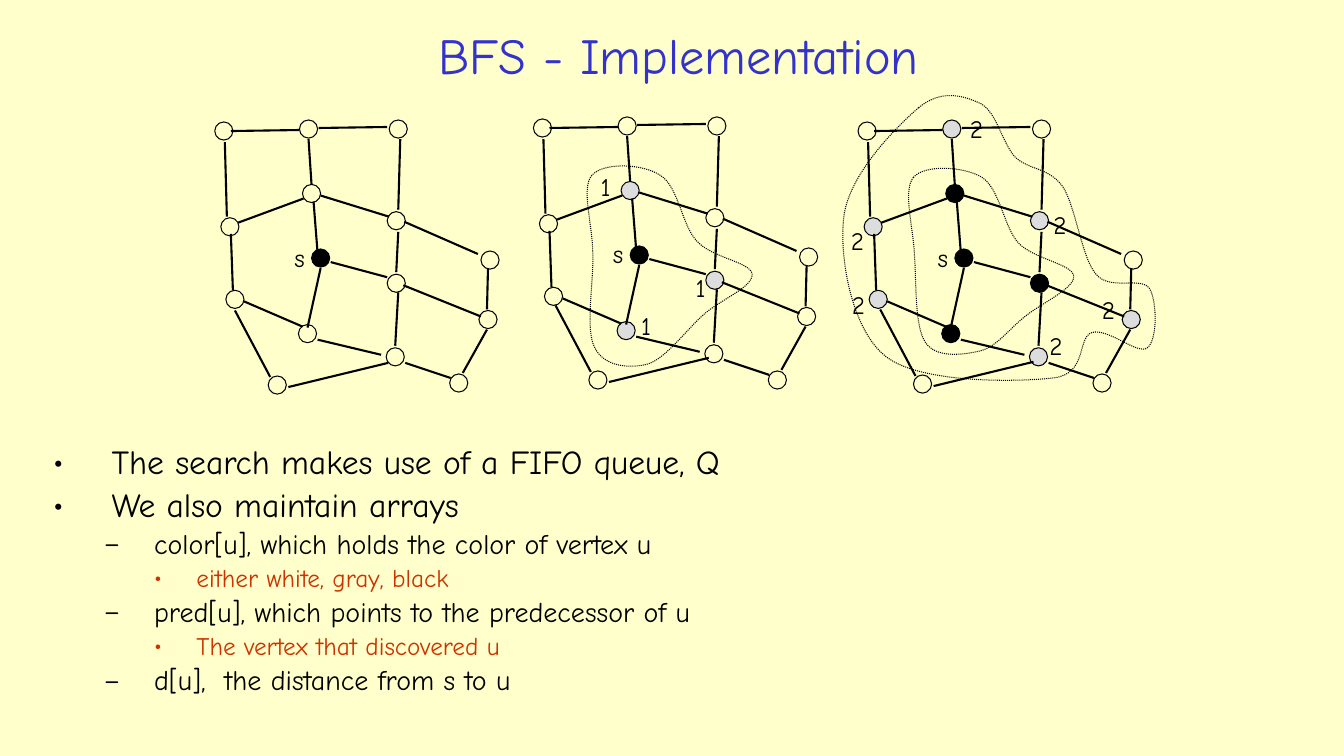
from dataclasses import dataclass

from lxml import etree
from pptx import Presentation, util as u
from pptx.dml.color import RGBColor
from pptx.enum import dml, shapes, text
from pptx.oxml.ns import qn

PX = 9144  # 100 px to the inch


@dataclass(frozen=True)
class Theme:
    font: str = "Comic Neue"
    paper: str = "FFFFCC"
    ink: str = "000000"
    heading: str = "3333CC"
    accent: str = "CC3300"
    gray: str = "DDDDDD"
    title_size: int = 36
    label_size: int = 18
    node_line: float = 0.75
    edge_line: float = 1.5


THEME = Theme()

NODE_SIZE = 18
SOURCE = (309, 247)
# Top-left corner of each vertex, grouped by distance from s
LEVELS = [
    [SOURCE],
    [(300, 183), (296, 322), (384, 272)],
    [(297, 119), (219, 216), (384, 210), (224, 288), (383, 345), (475, 308)],
    [(213, 121), (386, 119), (477, 249), (446, 371)],
]
EDGES = [
    (229, 130, 297, 129), (316, 127, 384, 126), (397, 138, 395, 208),
    (306, 138, 309, 183), (223, 141, 225, 215), (236, 221, 301, 197),
    (318, 194, 386, 215), (311, 200, 315, 251), (229, 232, 231, 288),
    (318, 266, 305, 325), (242, 299, 300, 324), (328, 260, 384, 275),
    (395, 230, 393, 270), (401, 220, 474, 252), (400, 283, 477, 314),
    (484, 267, 483, 307), (483, 327, 459, 370), (395, 290, 392, 343),
    (315, 337, 378, 352), (402, 360, 447, 375),
]
STEP_OFFSETS = [(0, 0), (316, -3), (638, 0)]

# The lowest vertex is shifted separately from the rest of its graph
LOW_DISTANCE = 3
LOW_VERTEX = (266, 373)
LOW_EDGES = [(233, 308, 268, 374), (385, 360, 286, 384)]
LOW_OFFSETS = [(0, 0), (318, -5), (640, -1)]

DISTANCE_LABELS = {
    "1": [(586, 165), (626, 303), (680, 265)],
    "2": [(952, 108), (834, 219), (835, 282), (1031, 323), (1083, 287), (1035, 203)],
}

# Start point, then two control points and an end point for each curve
FRONTIERS = [
    ((587, 174), [
        (576, 187, 588, 223, 588, 252), (589, 280, 580, 327, 590, 345),
        (599, 364, 625, 366, 643, 361), (661, 355, 681, 327, 698, 312),
        (715, 297, 747, 285, 746, 272), (745, 260, 706, 256, 691, 239),
        (676, 223, 673, 185, 655, 174), (637, 162, 598, 161, 587, 174)]),
    ((906, 176), [
        (895, 189, 906, 226, 907, 253), (909, 281, 907, 324, 918, 340),
        (929, 356, 956, 352, 973, 348), (990, 343, 1002, 325, 1018, 313),
        (1033, 301, 1066, 286, 1065, 274), (1064, 262, 1025, 257, 1010, 241),
        (995, 224, 992, 188, 974, 176), (956, 165, 917, 163, 906, 176)]),
    ((911, 107), [
        (889, 126, 842, 173, 837, 215), (832, 256, 845, 328, 879, 354),
        (914, 381, 1011, 379, 1045, 375), (1079, 371, 1068, 335, 1083, 330),
        (1099, 325, 1129, 353, 1138, 345), (1148, 338, 1148, 299, 1140, 286),
        (1131, 274, 1101, 289, 1087, 272), (1073, 256, 1067, 205, 1054, 185),
        (1040, 166, 1021, 169, 1007, 156), (994, 142, 989, 112, 973, 103),
        (956, 95, 934, 88, 911, 107)]),
]

# Left indent, hanging indent, bullet, type size, colour
LIST_STYLES = [
    (58, 58, "•", 24, THEME.ink),
    (100, 50, "–", 20, THEME.ink),
    (142, 42, "•", 18, THEME.accent),
]
NOTES = [
    (0, "The search makes use of a FIFO queue, Q"),
    (0, "We also maintain arrays"),
    (1, "color[u], which holds the color of vertex u"),
    (2, "either white, gray, black"),
    (1, "pred[u], which points to the predecessor of u"),
    (2, "The vertex that discovered u"),
    (1, "d[u],  the distance from s to u"),
]


def px(*lengths):
    return [u.Emu(length * PX) for length in lengths]


def write_text(para, content, *, size=THEME.label_size, color=THEME.ink):
    span = para.add_run()
    span.text = content
    span.font.name = THEME.font
    span.font.size = u.Pt(size)
    span.font.color.rgb = RGBColor.from_string(color)


def set_line(shape, width):
    shape.line.color.rgb = RGBColor.from_string(THEME.ink)
    shape.line.width = u.Pt(width)


def add_title(page, content):
    title = page.shapes.title
    title.left, title.top, title.width, title.height = px(196, 16, 954, 76)
    title.text_frame.vertical_anchor = text.MSO_ANCHOR.MIDDLE
    para = title.text_frame.paragraphs[0]
    para.alignment = text.PP_ALIGN.CENTER
    write_text(para, content, size=THEME.title_size, color=THEME.heading)


def add_notes_list(page):
    frame = page.shapes.add_textbox(*px(43, 437, 1257, 288)).text_frame
    frame.word_wrap = True
    for index, (level, content) in enumerate(NOTES):
        left, hanging, bullet, size, color = LIST_STYLES[level]
        para = frame.add_paragraph() if index else frame.paragraphs[0]
        para.level = level
        properties = para._p.get_or_add_pPr()
        properties.set("marL", str(left * PX))
        properties.set("indent", str(-hanging * PX))
        etree.SubElement(properties, qn("a:buFont")).set("typeface", THEME.font)
        etree.SubElement(properties, qn("a:buChar")).set("char", bullet)
        para.line_spacing = 0.9
        if index:
            para.space_before = u.Pt(0.2 * size)
        write_text(para, content, size=size, color=color)


def add_label(page, content, x, y):
    frame = page.shapes.add_textbox(*px(x, y, 32, 40)).text_frame
    frame.word_wrap = False
    write_text(frame.paragraphs[0], content)


def add_node(page, x, y, color):
    node = page.shapes.add_shape(
        shapes.MSO_SHAPE.OVAL, *px(x, y, NODE_SIZE, NODE_SIZE))
    node.shadow.inherit = False
    if color:
        node.fill.solid()
        node.fill.fore_color.rgb = RGBColor.from_string(color)
    else:
        node.fill.background()
    set_line(node, THEME.node_line)


def add_edge(page, *ends):
    edge = page.shapes.add_connector(shapes.MSO_CONNECTOR.STRAIGHT, *px(*ends))
    set_line(edge, THEME.edge_line)
    etree.SubElement(edge._element.spPr, qn("a:effectLst"))


def bend_segments(outline):
    """Turn every three straight segments into one cubic Bézier curve."""
    segments = list(outline._element.iter(qn("a:lnTo")))
    for first in range(0, len(segments), 3):
        curve = etree.Element(qn("a:cubicBezTo"))
        segments[first].addprevious(curve)
        for segment in segments[first:first + 3]:
            curve.append(segment[0])
            segment.getparent().remove(segment)


def add_frontier(page, start, curves):
    builder = page.shapes.build_freeform(*start, scale=PX)
    points = [curve[i:i + 2] for curve in curves for i in (0, 2, 4)]
    builder.add_line_segments(points, close=True)
    outline = builder.convert_to_shape()
    bend_segments(outline)
    outline.shadow.inherit = False
    outline.fill.background()
    set_line(outline, THEME.node_line)
    outline.line.dash_style = dml.MSO_LINE.ROUND_DOT


def node_color(distance, step):
    if distance == 0 or distance < step:
        return THEME.ink
    return THEME.gray if distance == step else None


def add_part(page, step, levels, edges, dx, dy):
    """Draw vertices and edges as they stand after the given search step."""
    for distance, corners in levels:
        for x, y in corners:
            add_node(page, x + dx, y + dy, node_color(distance, step))
    for x1, y1, x2, y2 in edges:
        add_edge(page, x1 + dx, y1 + dy, x2 + dx, y2 + dy)


def main():
    deck = Presentation()
    deck.slide_width, deck.slide_height = px(1333, 750)
    page = deck.slides.add_slide(deck.slide_layouts.get_by_name("Title Only"))
    page.background.fill.solid()
    page.background.fill.fore_color.rgb = RGBColor.from_string(THEME.paper)
    add_title(page, "BFS - Implementation")
    add_notes_list(page)
    for step, (dx, dy) in enumerate(STEP_OFFSETS):
        add_part(page, step, enumerate(LEVELS), EDGES, dx, dy)
        low_level = [(LOW_DISTANCE, [LOW_VERTEX])]
        add_part(page, step, low_level, LOW_EDGES, *LOW_OFFSETS[step])
        add_label(page, "s", SOURCE[0] - 27 + dx, SOURCE[1] - 12 + dy)
    for start, curves in FRONTIERS:
        add_frontier(page, start, curves)
    for content, places in DISTANCE_LABELS.items():
        for x, y in places:
            add_label(page, content, x, y)
    deck.save("out.pptx")


if __name__ == "__main__":
    main()
